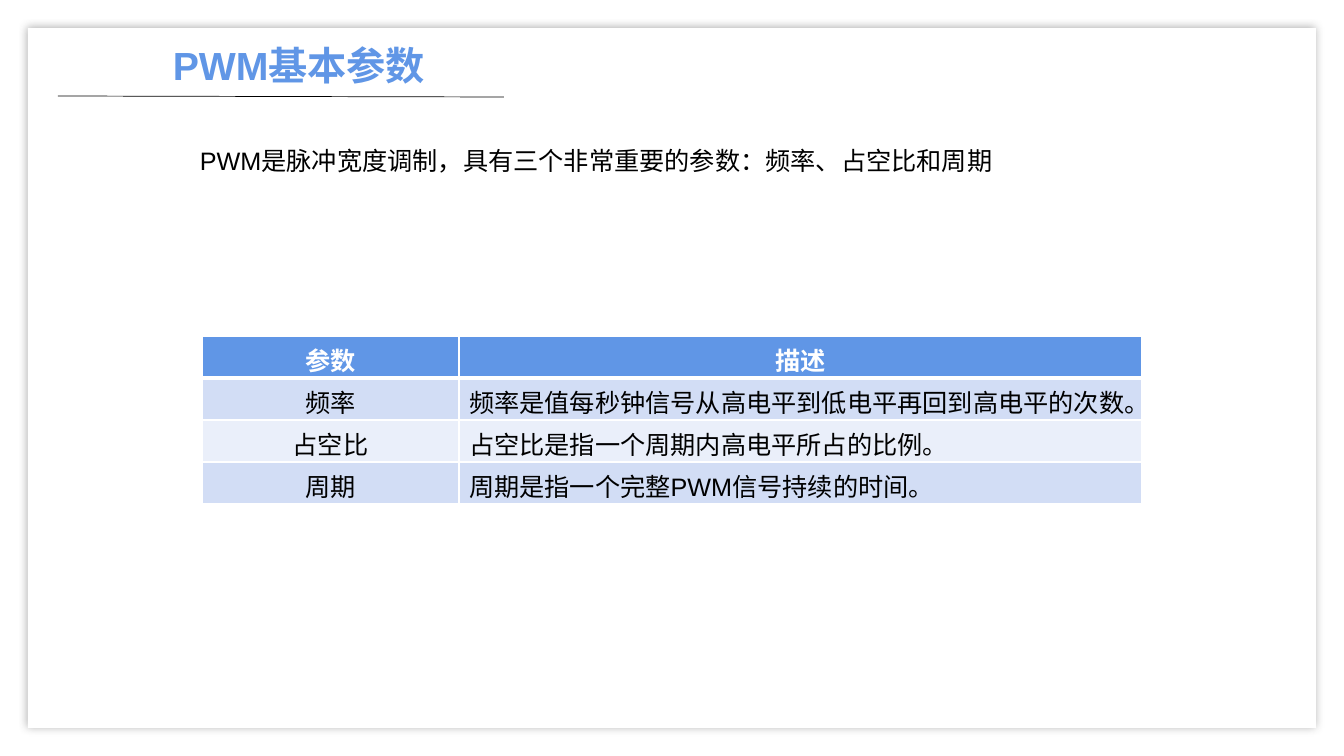
from lxml import etree
from pptx import Presentation, util as u
from pptx.dml.color import RGBColor
from pptx.enum import shapes, text
from pptx.oxml import parse_xml
from pptx.oxml.ns import qn

COLORS = {"blue": "6096E6", "white": "FFFFFF", "black": "000000",
          "band": "D2DDF5", "pale": "EAEFFA", "shade": "404040"}
NS = 'xmlns:a="http://schemas.openxmlformats.org/drawingml/2006/main"'
PX = 914400 / 100.8

TITLE = "PWM基本参数"
INTRO = "PWM是脉冲宽度调制，具有三个非常重要的参数：频率、占空比和周期"
ROWS = [
    ("参数", "描述"),
    ("频率", "频率是值每秒钟信号从高电平到低电平再回到高电平的次数。"),
    ("占空比", "占空比是指一个周期内高电平所占的比例。"),
    ("周期", "周期是指一个完整PWM信号持续的时间。"),
]
WIDTHS = (257, 683)
ROW_H = 42


def px(*vals):
    return [u.Emu(round(v * PX)) for v in vals]


def rgb(name):
    return RGBColor.from_string(COLORS[name])


def write(frame, words, size=18, color="black", bold=False, center=False):
    para = frame.paragraphs[0]
    para.alignment = text.PP_ALIGN.CENTER if center else text.PP_ALIGN.LEFT
    run = para.add_run()
    run.text = words
    font = run.font
    font.name, font.size, font.bold = "Arial", u.Pt(size), bold
    font.color.rgb = rgb(color)


def label(slide, box, words, **style):
    frame = slide.shapes.add_textbox(*px(*box)).text_frame
    frame.word_wrap = True
    write(frame, words, **style)


def panel(slide):
    """White sheet with a soft shadow on all sides."""
    sheet = slide.shapes.add_shape(shapes.MSO_SHAPE.RECTANGLE, *px(28, 28, 1288, 700))
    sheet.fill.solid()
    sheet.fill.fore_color.rgb = rgb("white")
    sheet.line.fill.background()
    sheet._element.spPr.append(parse_xml(
        f'<a:effectLst {NS}><a:outerShdw blurRad="{u.Pt(6)}" dist="0" dir="0" '
        f'algn="ctr" rotWithShape="0"><a:srgbClr val="{COLORS["shade"]}">'
        '<a:alpha val="41000"/></a:srgbClr></a:outerShdw></a:effectLst>'))


def rule(slide):
    line = slide.shapes.add_connector(shapes.MSO_CONNECTOR.STRAIGHT, *px(58, 96, 504, 97))
    line.line.color.rgb = rgb("black")
    line.line.width = u.Pt(0.5)
    etree.SubElement(line._element.spPr, qn("a:effectLst"))


def border(cell, row):
    """White cell edges, thick between the head and the body."""
    props = cell._tc.get_or_add_tcPr()
    thick = {"B": 3} if row == 0 else {"T": 3} if row == 1 else {}
    for side in "LRTB":
        props.append(parse_xml(
            f'<a:ln{side} {NS} w="{u.Pt(thick.get(side, 1))}"><a:solidFill>'
            f'<a:srgbClr val="{COLORS["white"]}"/></a:solidFill></a:ln{side}>'))


def grid(slide):
    size = (sum(WIDTHS), ROW_H * len(ROWS))
    table = slide.shapes.add_table(len(ROWS), len(WIDTHS), *px(202, 336, *size)).table
    for col, width in zip(table.columns, px(*WIDTHS)):
        col.width = width
    for r, row in enumerate(ROWS):
        table.rows[r].height = px(ROW_H)[0]
        head = r == 0
        for c, words in enumerate(row):
            cell = table.cell(r, c)
            border(cell, r)
            cell.fill.solid()
            cell.fill.fore_color.rgb = rgb("blue" if head else "band" if r % 2 else "pale")
            write(cell.text_frame, words, color="white" if head else "black",
                  bold=head, center=head or c == 0)


def main():
    deck = Presentation()
    deck.slide_width, deck.slide_height = px(1344, 756)
    slide = deck.slides.add_slide(deck.slide_layouts[6])
    panel(slide)
    rule(slide)
    label(slide, (123, 36, 352, 57), TITLE, size=28, color="blue", bold=True, center=True)
    label(slide, (190, 140, 846, 40), INTRO)
    grid(slide)
    deck.save("out.pptx")


if __name__ == "__main__":
    main()
